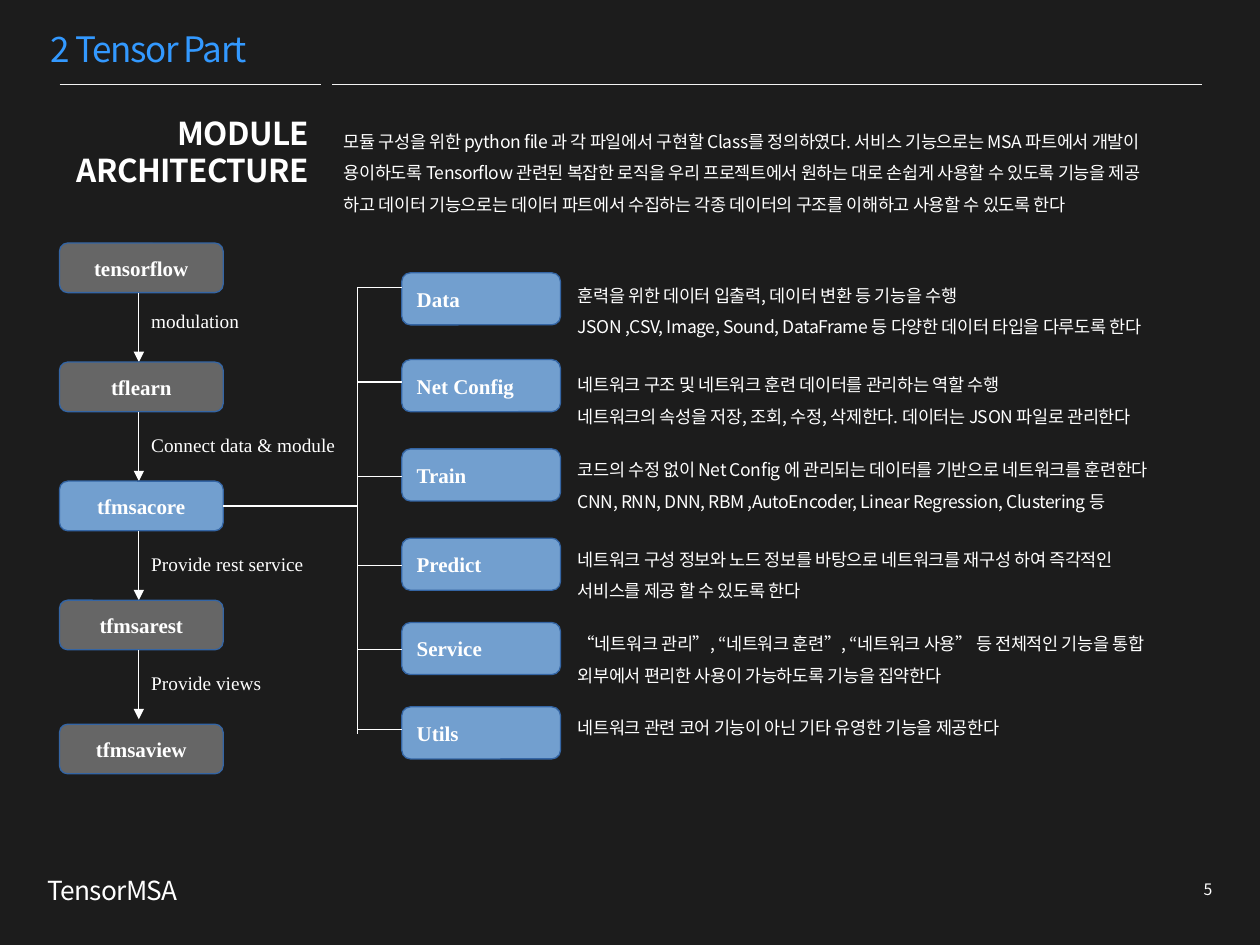
from dataclasses import dataclass
from typing import Optional

from lxml.etree import SubElement
from pptx import Presentation
from pptx.dml.color import RGBColor
from pptx.enum.shapes import MSO_CONNECTOR as Connector, MSO_SHAPE as Preset
from pptx.enum.text import MSO_ANCHOR as Anchor, PP_ALIGN as Align
from pptx.oxml.ns import qn
from pptx.util import Cm, Pt


@dataclass(frozen=True)
class Theme:
    background: str = "1C1C1C"
    accent: str = "3399FF"
    text: str = "FFFFFF"
    rule: str = "F2F2F2"
    gray: str = "666666"
    blue: str = "729FCF"
    border: str = "3465A4"
    sans: str = "Noto Sans CJK KR"
    serif: str = "Times New Roman"
    title: float = 20
    heading: float = 18
    footer: float = 15
    name: float = 12
    label: float = 11
    body: float = 10
    number: float = 9
    hairline: float = 0.25
    line: float = 0.75


@dataclass(frozen=True)
class Layer:
    name: str
    top: float
    fill: str
    label: str = ""
    label_top: float = 0
    label_width: float = 0


@dataclass(frozen=True)
class Module:
    name: str
    top: float
    branch: float
    text_top: float
    lines: tuple[str, ...]


THEME = Theme()

LAYERS = (
    Layer("tensorflow", 4.9, THEME.gray, "modulation", 6.1, 2.3),
    Layer("tflearn", 7.3, THEME.gray, "Connect data & module", 8.6, 4.25),
    Layer("tfmsacore", 9.7, THEME.blue, "Provide rest service", 11, 3.6),
    Layer("tfmsarest", 12.1, THEME.gray, "Provide views", 13.4, 2.75),
    Layer("tfmsaview", 14.6, THEME.gray),
)

MODULES = (
    Module("Data", 5.5, 5.8, 5.4, (
        "훈력을 위한 데이터 입출력, 데이터 변환 등 기능을 수행",
        "JSON ,CSV, Image, Sound, DataFrame 등 다양한 데이터 타입을 다루도록 한다")),
    Module("Net Config", 7.25, 7.7, 7.2, (
        "네트워크 구조 및 네트워크 훈련 데이터를 관리하는 역할 수행",
        "네트워크의 속성을 저장, 조회, 수정, 삭제한다. 데이터는 JSON 파일로 관리한다")),
    Module("Train", 9.05, 9.6, 8.92, (
        "코드의 수정 없이 Net Config 에 관리되는 데이터를 기반으로 네트워크를 훈련한다",
        "CNN, RNN, DNN, RBM ,AutoEncoder, Linear Regression, Clustering 등")),
    Module("Predict", 10.85, 11.4, 10.72, (
        "네트워크 구성 정보와 노드 정보를 바탕으로 네트워크를 재구성 하여 즉각적인",
        "서비스를 제공 할 수 있도록 한다")),
    Module("Service", 12.55, 13.1, 12.42, (
        "“네트워크 관리”, “네트워크 훈련”, “네트워크 사용” 등 전체적인 기능을 통합",
        "외부에서 편리한 사용이 가능하도록 기능을 집약한다")),
    Module("Utils", 14.25, 14.7, 14.12, (
        "네트워크 관련 코어 기능이 아닌 기타 유영한 기능을 제공한다",)),
)

INTRO = (
    "모듈 구성을 위한 python file 과 각 파일에서 구현할 Class를 정의하였다. "
    "서비스 기능으로는 MSA 파트에서 개발이 용이하도록 Tensorflow 관련된 복잡한 로직을 "
    "우리 프로젝트에서 원하는 대로 손쉽게 사용할 수 있도록 기능을 제공",
    "하고 데이터 기능으로는 데이터 파트에서 수집하는 각종 데이터의 구조를 이해하고 사용할 수 있도록 한다",
)

LAYER_LEFT, LAYER_WIDTH, LAYER_HEIGHT = 1.2, 3.3, 1.0
ARROW_X, ARROW_LENGTH = 2.8, 1.4
MODULE_LEFT, MODULE_WIDTH, MODULE_HEIGHT = 8.1, 3.2, 1.05
TRUNK_X, TRUNK_END, FEED_Y = 7.2, 14.8, 10.2


def write_text(shape, lines: tuple[str, ...], *, size: float, font: str = THEME.sans,
               color: str = THEME.text, bold: bool = False, align: Align = Align.LEFT,
               anchor: Anchor = Anchor.TOP, spacing: float = 0, leading: float = 1,
               wrap: bool = True, inset: bool = True) -> None:
    frame = shape.text_frame
    frame.word_wrap = wrap
    frame.vertical_anchor = anchor
    frame.margin_left = frame.margin_right = Cm(0.25 if inset else 0)
    frame.margin_top = frame.margin_bottom = Cm(0.13 if inset else 0)
    for index, line in enumerate(lines):
        para = frame.add_paragraph() if index else frame.paragraphs[0]
        para.alignment = align
        para.line_spacing = leading
        span = para.add_run()
        span.text = line
        span.font.size = Pt(size)
        span.font.name = font
        span.font.bold = bold
        span.font.color.rgb = RGBColor.from_string(color)
        properties = span.font._element
        SubElement(properties, qn("a:ea"), typeface=font)
        if spacing:
            properties.set("spc", str(round(spacing * 100)))


def add_text(page, lines: tuple[str, ...], left: float, top: float, width: float,
             height: float, **style) -> None:
    box = page.shapes.add_textbox(Cm(left), Cm(top), Cm(width), Cm(height))
    write_text(box, lines, **style)


def add_body(page, lines: tuple[str, ...], left: float, top: float, width: float,
             height: float) -> None:
    add_text(page, lines, left, top, width, height,
             size=THEME.body, spacing=-0.2, leading=1.5)


def add_box(page, name: str, left: float, top: float, width: float, height: float,
            fill: str, align: Align) -> None:
    box = page.shapes.add_shape(Preset.ROUNDED_RECTANGLE, Cm(left), Cm(top), Cm(width), Cm(height))
    box.shadow.inherit = False
    box.fill.solid()
    box.fill.fore_color.rgb = RGBColor.from_string(fill)
    box.line.color.rgb = RGBColor.from_string(THEME.border)
    box.line.width = Pt(THEME.line)
    write_text(box, (name,), size=THEME.name, font=THEME.serif, bold=True,
               align=align, anchor=Anchor.MIDDLE, wrap=False)


def add_line(page, start: tuple[float, float], end: tuple[float, float],
             color: str = THEME.text, width: float = THEME.line,
             arrow: Optional[str] = None) -> None:
    line = page.shapes.add_connector(Connector.STRAIGHT, *map(Cm, start + end))
    line.line.color.rgb = RGBColor.from_string(color)
    line.line.width = Pt(width)
    if arrow:
        SubElement(line.line._get_or_add_ln(), qn("a:tailEnd"), type=arrow)
    SubElement(line._element.spPr, qn("a:effectLst"))


def draw_frame(page) -> None:
    add_text(page, ("2 Tensor Part",), 1.02, 0.58, 6.38, 0.81, size=THEME.title,
             color=THEME.accent, spacing=-0.8, anchor=Anchor.MIDDLE, inset=False)
    for start, end in ((1.2, 6.48), (6.7, 24.23)):
        add_line(page, (start, 1.7), (end, 1.7), THEME.rule, THEME.hairline)
    add_text(page, ("MODULE", "ARCHITECTURE"), 0.89, 2.16, 5.59, 1.83,
             size=THEME.heading, bold=True, spacing=-0.4, align=Align.RIGHT)
    add_body(page, INTRO, 6.68, 2.29, 17.32, 2.57)
    add_text(page, ("TensorMSA",), 0.71, 17.5, 3.28, 1.04, size=THEME.footer, spacing=-0.4)
    add_text(page, ("5",), 24, 17.6, 0.69, 0.64, size=THEME.number,
             align=Align.RIGHT, wrap=False)


def draw_layer(page, layer: Layer) -> None:
    add_box(page, layer.name, LAYER_LEFT, layer.top, LAYER_WIDTH, LAYER_HEIGHT,
            layer.fill, Align.CENTER)
    if layer.label:
        bottom = layer.top + LAYER_HEIGHT
        add_line(page, (ARROW_X, bottom), (ARROW_X, bottom + ARROW_LENGTH), arrow="triangle")
        add_text(page, (layer.label,), ARROW_X, layer.label_top, layer.label_width, 0.74,
                 size=THEME.label, font=THEME.serif)


def draw_module(page, module: Module) -> None:
    add_box(page, module.name, MODULE_LEFT, module.top, MODULE_WIDTH, MODULE_HEIGHT,
            THEME.blue, Align.LEFT)
    add_line(page, (MODULE_LEFT, module.branch), (TRUNK_X, module.branch))
    add_body(page, module.lines, 11.4, module.text_top, 13.6, 1.4)


def main() -> None:
    deck = Presentation()
    deck.slide_width, deck.slide_height = Cm(25.4), Cm(19.05)
    page = deck.slides.add_slide(deck.slide_layouts[6])
    page.background.fill.solid()
    page.background.fill.fore_color.rgb = RGBColor.from_string(THEME.background)
    draw_frame(page)
    for layer in LAYERS:
        draw_layer(page, layer)
    add_line(page, (TRUNK_X, MODULES[0].branch), (TRUNK_X, TRUNK_END))
    add_line(page, (LAYER_LEFT + LAYER_WIDTH, FEED_Y), (TRUNK_X, FEED_Y))
    for module in MODULES:
        draw_module(page, module)
    deck.save("out.pptx")


if __name__ == "__main__":
    main()
